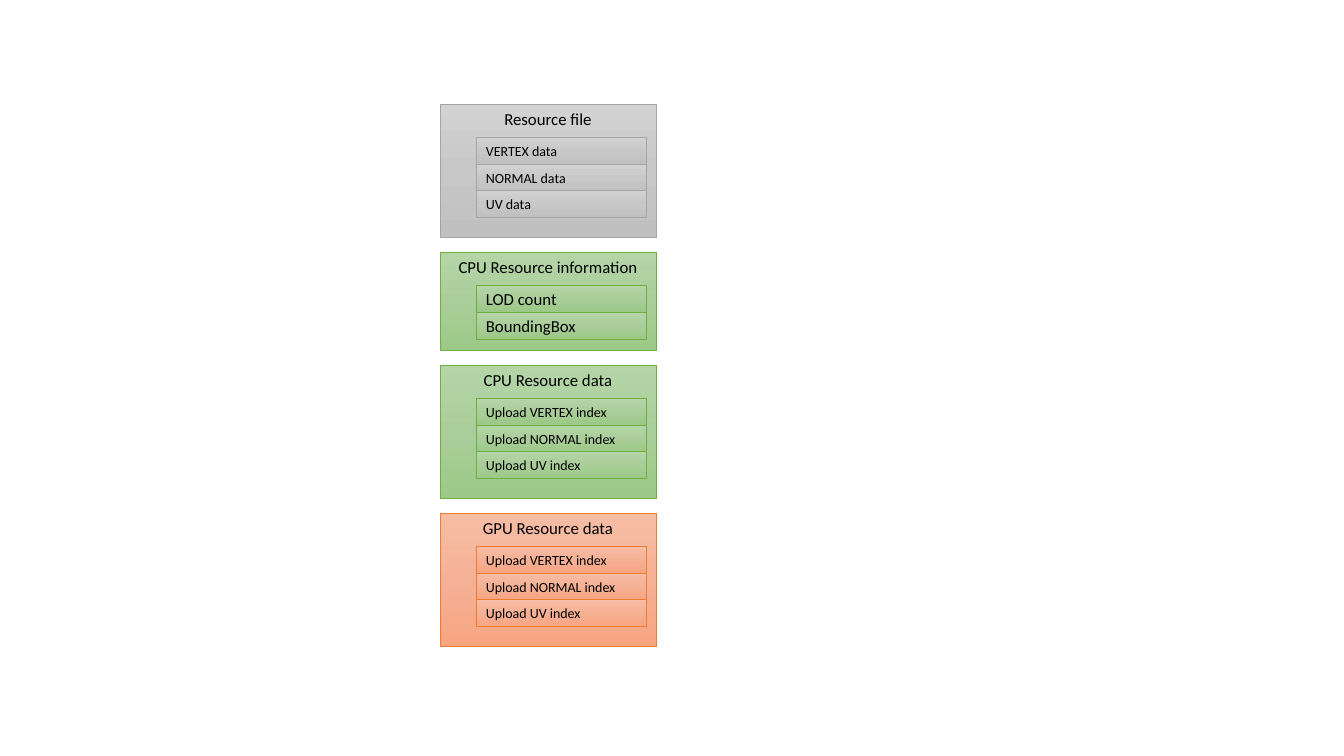
from copy import deepcopy

from pptx import Presentation
from pptx.dml.color import RGBColor
from pptx.enum.shapes import MSO_SHAPE
from pptx.enum.text import MSO_ANCHOR, PP_ALIGN
from pptx.oxml.ns import qn
from pptx.util import Emu, Pt

PX = 914400 / 100.8

# Border colour and gradient stops
GREY = ("A5A5A5", ("D2D2D2", "C8C8C8", "C0C0C0"))
GREEN = ("70AD47", ("B5D5A7", "AACE9A", "9CC987"))
ORANGE = ("ED7D31", ("F7BDA5", "F5B196", "F8A582"))

UPLOADS = ["Upload VERTEX index", "Upload NORMAL index", "Upload UV index"]

# Title, palette, height, row text size, rows
GROUPS = [
    ("Resource file", GREY, 133, 10, ["VERTEX data", "NORMAL data", "UV data"]),
    ("CPU Resource information", GREEN, 98, 12, ["LOD count", "BoundingBox"]),
    ("CPU Resource data", GREEN, 133, 10, UPLOADS),
    ("GPU Resource data", ORANGE, 133, 10, UPLOADS),
]


def px(n):
    return Emu(round(n * PX))


def rgb(color):
    return RGBColor.from_string(color)


class Diagram:
    font = "Calibri"
    text_color = "000000"
    left, top, width, gap = 440, 104, 216, 15
    row_left, row_top, row_width, row_height = 476, 33, 170, 27

    def __init__(self, s):
        self.s = s

    def gradient(self, sp, colors):
        sp.fill.gradient()
        sp.fill.gradient_angle = 270
        # A new gradient has two stops, so add the middle one
        stop_list = sp._element.spPr.find(".//" + qn("a:gsLst"))
        stop_list.insert(1, deepcopy(stop_list[0]))
        for i, (stop, color) in enumerate(zip(sp.fill.gradient_stops, colors)):
            stop.position = i / 2
            stop.color.rgb = rgb(color)

    def box(self, x, y, w, h, text, size, palette, align, anchor):
        border, colors = palette
        sp = self.s.shapes.add_shape(MSO_SHAPE.RECTANGLE, px(x), px(y), px(w), px(h))
        sp.shadow.inherit = False
        self.gradient(sp, colors)
        sp.line.color.rgb = rgb(border)
        sp.line.width = Pt(0.5)
        tf = sp.text_frame
        tf.vertical_anchor = anchor
        p = tf.paragraphs[0]
        p.alignment = align
        r = p.add_run()
        r.text = text
        for name, value in {"name": self.font, "size": Pt(size)}.items():
            setattr(r.font, name, value)
        r.font.color.rgb = rgb(self.text_color)

    def group(self, y, title, palette, height, size, rows):
        self.box(self.left, y, self.width, height, title, 12, palette,
                 PP_ALIGN.CENTER, MSO_ANCHOR.TOP)
        for i, text in enumerate(rows):
            # Rows step by 26.5 px, rounded up to whole pixels
            row_y = y + self.row_top + (53 * i + 1) // 2
            self.box(self.row_left, row_y, self.row_width, self.row_height,
                     text, size, palette, PP_ALIGN.LEFT, MSO_ANCHOR.MIDDLE)


def main():
    prs = Presentation()
    prs.slide_width, prs.slide_height = px(1344), px(756)
    diagram = Diagram(prs.slides.add_slide(prs.slide_layouts[6]))

    # Stack the groups from top to bottom
    y = diagram.top
    for title, palette, height, size, rows in GROUPS:
        diagram.group(y, title, palette, height, size, rows)
        y += height + diagram.gap

    prs.save("out.pptx")


if __name__ == "__main__":
    main()
